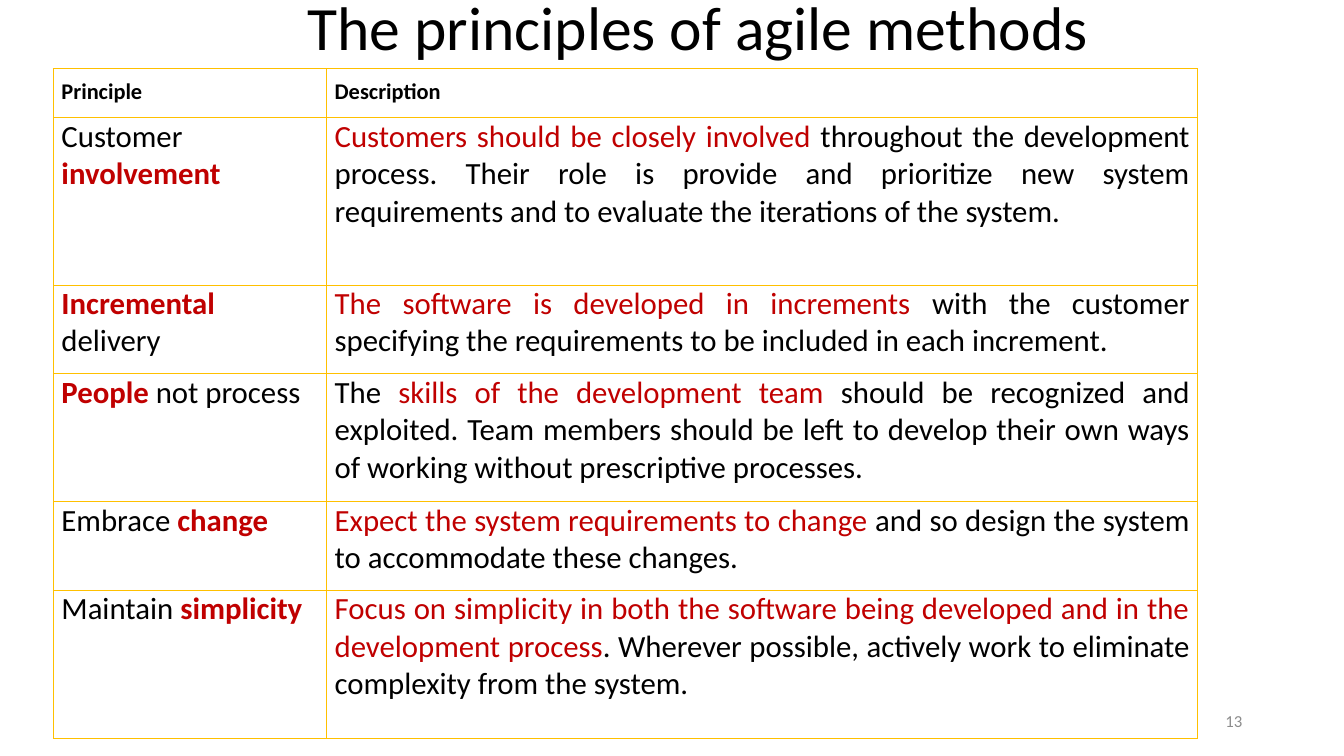
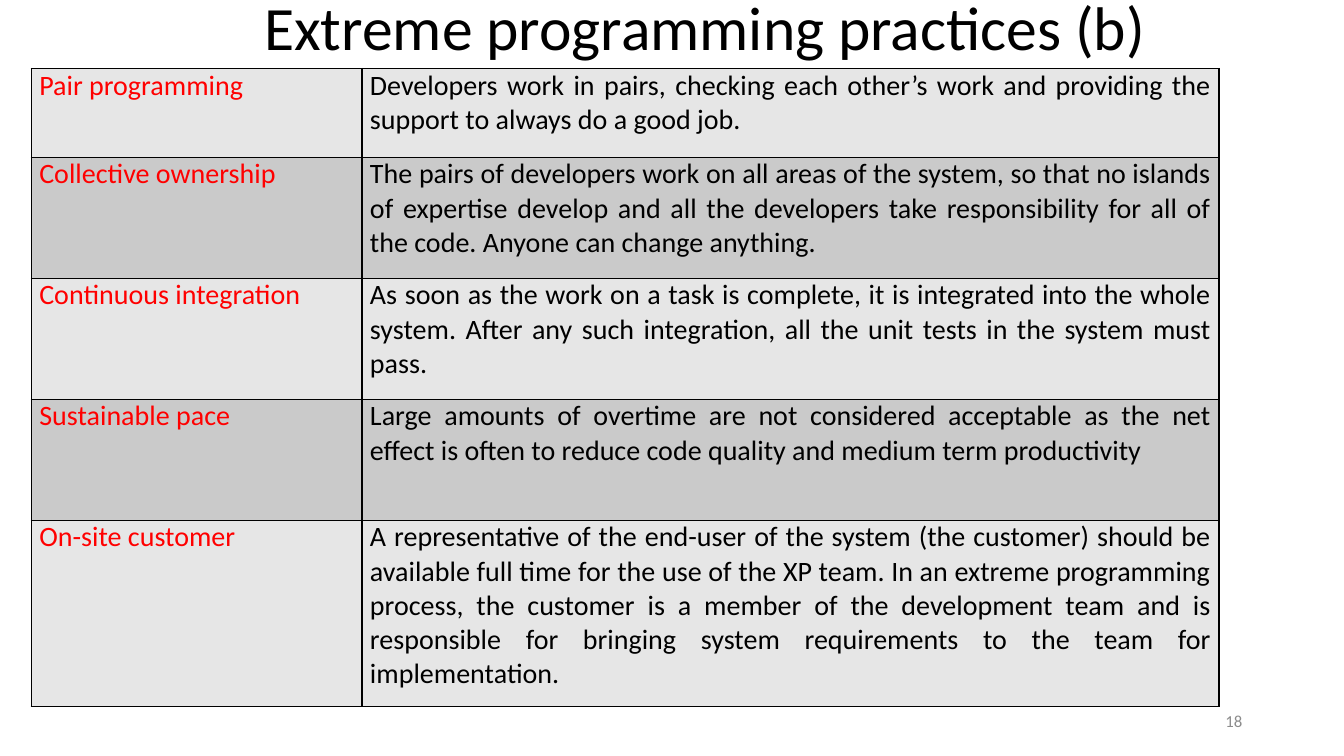
"""Build two slides of tables on agile methods and extreme programming."""
from dataclasses import dataclass

from lxml import etree
from pptx import Presentation
from pptx.dml.color import RGBColor
from pptx.enum import text
from pptx.oxml import ns
from pptx.util import Inches, Pt

FONT = "Calibri"
BLACK, GREY = "000000", "8C8C8C"
TABLE_TOP = 0.68


@dataclass
class TableSlide:
    """A titled table; text after each odd bar in a cell is highlighted."""
    title: str
    number: int
    left: float
    cols: list[float]
    heights: list[float]
    rows: list[tuple[str, str]]
    size: int
    highlight: str
    bold_names: bool
    border: str
    border_width: float
    fills: tuple[str, ...] = ()
    header: bool = False


SLIDES = [
    TableSlide(
        title="The principles of agile methods ", number=13, left=0.53,
        cols=[2.71, 8.64], heights=[0.49, 1.66, 0.88, 1.27, 0.88, 1.47],
        size=22, highlight="C00000", bold_names=True,
        border="FFC000", border_width=0.75, header=True,
        rows=[
            ("Principle", "Description"),
            ("Customer |involvement",
             "|Customers should be closely involved |throughout the development "
             "process. Their role is provide and prioritize new system "
             "requirements and to evaluate the iterations of the system."),
            ("|Incremental |delivery",
             "|The software is developed in increments |with the customer "
             "specifying the requirements to be included in each increment."),
            ("|People |not process",
             "The |skills of the development team |should be recognized and "
             "exploited. Team members should be left to develop their own ways "
             "of working without prescriptive processes."),
            ("Embrace |change",
             "|Expect the system requirements to change |and so design the "
             "system to accommodate these changes."),
            ("Maintain |simplicity",
             "|Focus on simplicity in both the software being developed and in "
             "the development process|. Wherever possible, actively work to "
             "eliminate complexity from the system."),
        ]),
    TableSlide(
        title="Extreme programming practices (b)", number=18, left=0.31,
        cols=[3.28, 8.5], heights=[0.88, 1.2, 1.2, 1.2, 1.85],
        size=20, highlight="FF0000", bold_names=False,
        border=BLACK, border_width=1, fills=("E6E6E6", "CACACA"),
        rows=[
            ("|Pair programming",
             "Developers work in pairs, checking each other’s work and "
             "providing the support to always do a good job."),
            ("|Collective ownership",
             "The pairs of developers work on all areas of the system, so that "
             "no islands of expertise develop and all the developers take "
             "responsibility for all of the code. Anyone can change anything."),
            ("|Continuous integration",
             "As soon as the work on a task is complete, it is integrated into "
             "the whole system. After any such integration, all the unit tests "
             "in the system must pass."),
            ("|Sustainable pace",
             "Large amounts of overtime are not considered acceptable as the "
             "net effect is often to reduce code quality and medium term "
             "productivity"),
            ("|On-site customer",
             "A representative of the end-user of the system (the customer) "
             "should be available full time for the use of the XP team. In an "
             "extreme programming process, the customer is a member of the "
             "development team and is responsible for bringing system "
             "requirements to the team for implementation."),
        ]),
]


def rgb(color: str) -> RGBColor:
    """Turn a hex string into a colour."""
    return RGBColor.from_string(color)


def style(p, size: float, color: str, align, bold: bool = False) -> None:
    """Set the font and alignment of a paragraph."""
    p.alignment = align
    p.font.name, p.font.size, p.font.bold = FONT, Pt(size), bold
    p.font.color.rgb = rgb(color)


def set_borders(cell, color: str, width: float) -> None:
    """Draw a solid line on all four sides of a cell."""
    tc_pr = cell._tc.get_or_add_tcPr()
    for i, side in enumerate(("lnL", "lnR", "lnT", "lnB")):
        ln = etree.Element(ns.qn(f"a:{side}"), w=str(Pt(width)))
        fill = etree.SubElement(ln, ns.qn("a:solidFill"))
        etree.SubElement(fill, ns.qn("a:srgbClr"), val=color)
        tc_pr.insert(i, ln)


def fill_cell(cell, content: str, spec: TableSlide, row: int, col: int) -> None:
    """Write and format one table cell."""
    is_header = spec.header and row == 0
    cell.margin_left = cell.margin_right = Inches(0.08)
    cell.margin_top = Inches(0.1 if is_header else 0)
    cell.margin_bottom = Inches(0.1)
    if spec.fills:
        cell.fill.solid()
        cell.fill.fore_color.rgb = rgb(spec.fills[row % len(spec.fills)])
    else:
        cell.fill.background()
    set_borders(cell, spec.border, spec.border_width)
    p = cell.text_frame.paragraphs[0]
    style(p, 16 if is_header else spec.size, BLACK,
          text.PP_ALIGN.JUSTIFY, is_header)
    for i, part in enumerate(content.split("|")):
        if part:
            r = p.add_run()
            r.text = part
            if i % 2:
                r.font.color.rgb = rgb(spec.highlight)
                r.font.bold = spec.bold_names and col == 0


def add_title(s, title: str) -> None:
    """Place and format the slide title."""
    sp = s.shapes.title
    sp.left, sp.top = Inches(1.09), Inches(0.13)
    sp.width, sp.height = Inches(11.81), Inches(0.55)
    tf = sp.text_frame
    tf.text = title
    tf.auto_size = text.MSO_AUTO_SIZE.NONE
    tf.vertical_anchor = text.MSO_ANCHOR.BOTTOM
    p = tf.paragraphs[0]
    p.line_spacing = 0.9
    style(p, 44, BLACK, text.PP_ALIGN.CENTER)


def add_number(s, number: int) -> None:
    """Add the slide number at the lower right."""
    tf = s.shapes.add_textbox(
        Inches(9.42), Inches(6.95), Inches(3), Inches(0.4)).text_frame
    tf.word_wrap = True
    tf.vertical_anchor = text.MSO_ANCHOR.MIDDLE
    tf.text = str(number)
    style(tf.paragraphs[0], 12, GREY, text.PP_ALIGN.RIGHT)


def add_table(s, spec: TableSlide) -> None:
    """Add the table of names and descriptions."""
    table = s.shapes.add_table(
        len(spec.rows), len(spec.cols), Inches(spec.left), Inches(TABLE_TOP),
        Inches(sum(spec.cols)), Inches(sum(spec.heights))).table
    table.first_row = spec.header
    table.horz_banding = False
    for column, width in zip(table.columns, spec.cols):
        column.width = Inches(width)
    for i, (height, contents) in enumerate(zip(spec.heights, spec.rows)):
        table.rows[i].height = Inches(height)
        for j, content in enumerate(contents):
            fill_cell(table.cell(i, j), content, spec, i, j)


def main() -> None:
    """Build and save the presentation."""
    prs = Presentation()
    prs.slide_width, prs.slide_height = Inches(13.33), Inches(7.5)
    for spec in SLIDES:
        s = prs.slides.add_slide(prs.slide_layouts.get_by_name("Title Only"))
        add_title(s, spec.title)
        add_number(s, spec.number)
        add_table(s, spec)
    prs.save("out.pptx")


if __name__ == "__main__":
    main()
